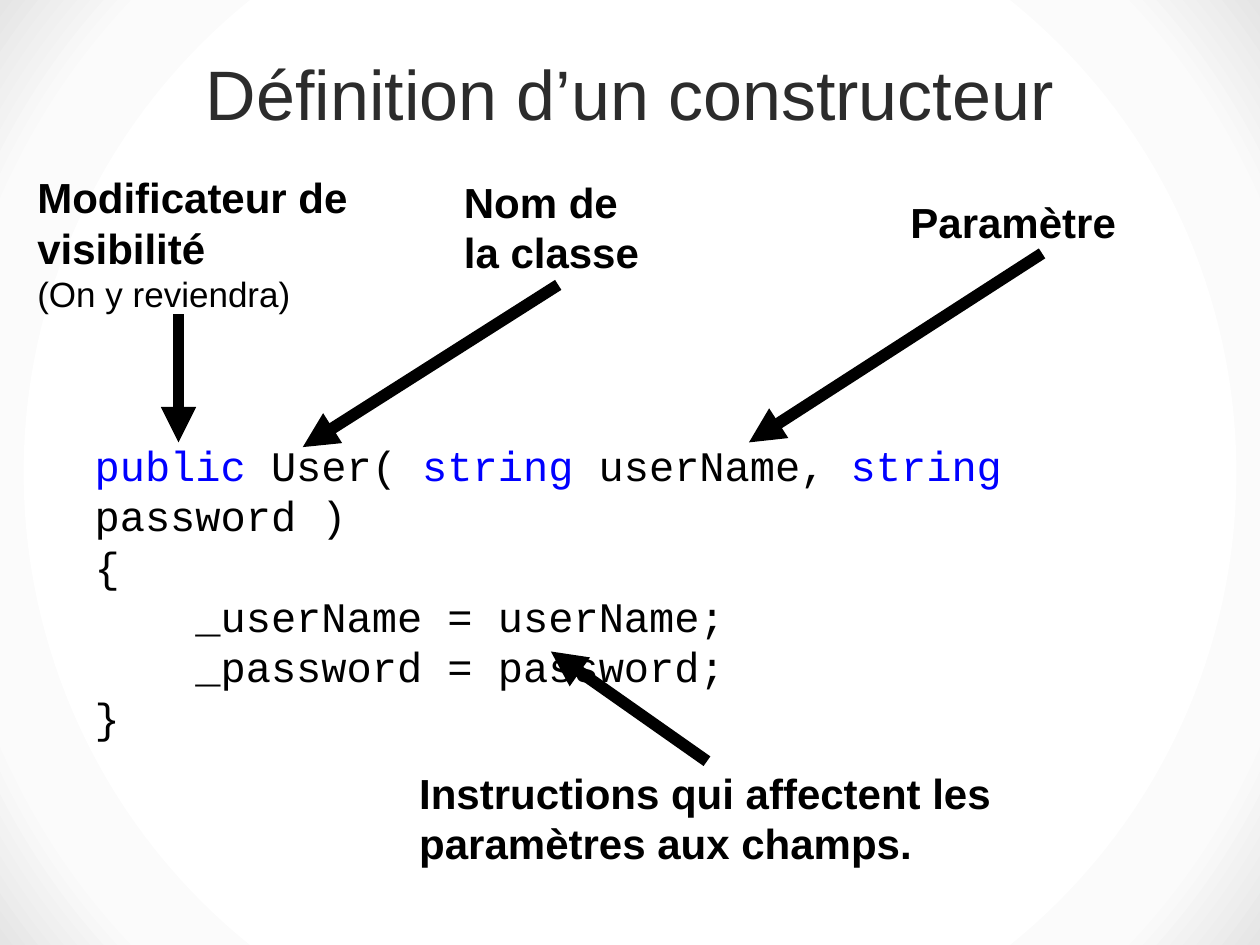
from lxml import etree
from pptx import Presentation
from pptx.dml.color import RGBColor
from pptx.enum import shapes, text
from pptx.oxml import parse_xml
from pptx.oxml.ns import nsdecls, qn
from pptx.util import Pt

COLORS = {
    "title": "2C2C2C",
    "text": "000000",
    "keyword": "0000FF",
    "highlight": "FFFFFF",
}
BACKGROUND_STOPS = [(68, "FFFFFF"), (86, "FBFBFB"), (100, "E5E5E5")]


def set_background(s):
    stops = "".join(
        f'<a:gs pos="{pos * 1000}"><a:srgbClr val="{color}"/></a:gs>'
        for pos, color in BACKGROUND_STOPS
    )
    bg = parse_xml(
        f'<p:bg {nsdecls("p", "a")}><p:bgPr><a:gradFill rotWithShape="1">'
        f'<a:gsLst>{stops}</a:gsLst><a:path path="circle">'
        '<a:fillToRect l="50000" t="50000" r="50000" b="50000"/></a:path>'
        "</a:gradFill><a:effectLst/></p:bgPr></p:bg>"
    )
    s.element.cSld.insert(0, bg)


def add_run(p, value, size=24, font="Arial", color="text", bold=False, highlight=None):
    r = p.add_run()
    r.text = value
    r.font.size = Pt(size)
    r.font.name = font
    r.font.bold = bold
    r.font.color.rgb = RGBColor.from_string(COLORS[color])
    if highlight:
        mark = etree.Element(qn("a:highlight"))
        etree.SubElement(mark, qn("a:srgbClr")).set("val", COLORS[highlight])
        r.font._element.find(qn("a:solidFill")).addnext(mark)


def add_title(s, value, left, top, width, height):
    sp = s.shapes.title
    sp.left, sp.top, sp.width, sp.height = map(Pt, (left, top, width, height))
    tf = sp.text_frame
    tf.auto_size = text.MSO_AUTO_SIZE.NONE
    tf.vertical_anchor = text.MSO_ANCHOR.TOP
    p = tf.paragraphs[0]
    p.alignment = text.PP_ALIGN.CENTER
    p.line_spacing = Pt(58)
    add_run(p, value, size=40, color="title")


def add_paragraphs(s, box, paragraphs):
    tf = s.shapes.add_textbox(*map(Pt, box)).text_frame
    tf.word_wrap = True
    for i, runs in enumerate(paragraphs):
        p = tf.add_paragraph() if i else tf.paragraphs[0]
        for value, style in runs:
            add_run(p, value, **style)
    return tf


def add_label(s, box, lines, note=None):
    paragraphs = [[(line, {"bold": True})] for line in lines]
    if note:
        paragraphs.append([(note, {"size": 20})])
    add_paragraphs(s, box, paragraphs)


def add_code(s, box, lines, indented):
    plain = {"font": "Courier New", "highlight": "highlight"}
    keyword = {**plain, "color": "keyword"}
    paragraphs = [
        [(value, keyword if value in ("public", "string") else plain) for value in line]
        for line in lines
    ]
    tf = add_paragraphs(s, box, paragraphs)
    for i in indented:
        tf.paragraphs[i]._p.get_or_add_pPr().set("marL", str(Pt(57.6)))


def add_arrow(s, start, end):
    line = s.shapes.add_connector(
        shapes.MSO_CONNECTOR.STRAIGHT, *map(Pt, (*start, *end))
    )
    line.line.width = Pt(6.75)
    line.line.color.rgb = RGBColor.from_string(COLORS["text"])
    etree.SubElement(line.line._get_or_add_ln(), qn("a:tailEnd")).set("type", "triangle")
    etree.SubElement(line._element.spPr, qn("a:effectLst"))


def main():
    prs = Presentation()
    prs.slide_width, prs.slide_height = Pt(720), Pt(540)
    s = prs.slides.add_slide(prs.slide_layouts[5])
    set_background(s)
    add_title(s, "Définition d’un constructeur", 31, 15.5, 657.5, 71)
    add_code(
        s,
        (47, 247.5, 651, 152.5),
        [
            ["public", " User( ", "string", " userName, ", "string", " password )"],
            ["{"],
            ["_userName = userName;"],
            ["_password = password;"],
            ["}"],
        ],
        indented=(2, 3),
    )
    add_label(s, (14.2, 94.5, 218, 90), ["Modificateur de visibilité"], "(On y reviendra)")
    add_label(s, (258, 97.2, 122, 65.5), ["Nom de", "la classe"])
    add_label(s, (513.2, 108.5, 164, 36), ["Paramètre"])
    add_label(
        s,
        (232.5, 435, 343, 65.5),
        ["Instructions qui affectent les paramètres aux champs."],
    )
    for start, end in [
        ((102, 179.5), (102, 252.8)),
        ((319, 162.8), (173, 255.5)),
        ((595.5, 144.8), (428, 252.8)),
        ((404, 435), (314.8, 372.3)),
    ]:
        add_arrow(s, start, end)
    prs.save("out.pptx")


main()
